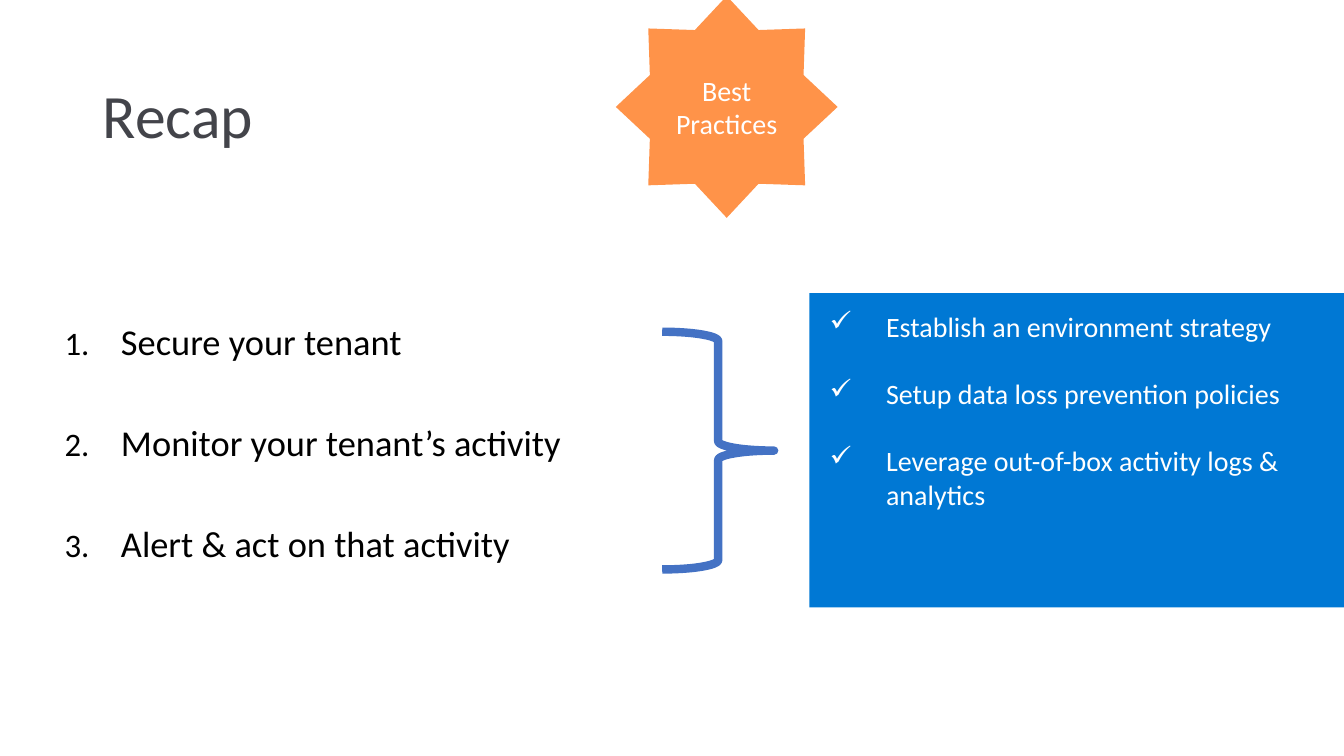
from lxml import etree
from pptx import Presentation
from pptx import util as u
from pptx.dml.color import RGBColor
from pptx.enum import shapes, text
from pptx.oxml.ns import qn

COLORS = {"title": "43444A", "panel": "0078D4", "badge": "FF9349",
          "brace": "4472C4", "light": "FFFFFF", "dark": "000000"}
HANGING = u.Cm(1.42)


def write(shape, lines, size, color, insets, align="LEFT", anchor="TOP", gap=0, bullet=()):
    """Fill a shape with paragraphs; bullet holds (tag, attributes) pairs."""
    frame = shape.text_frame
    side, edge = (u.Cm(inset) for inset in insets)
    frame_format = {"word_wrap": True, "vertical_anchor": getattr(text.MSO_ANCHOR, anchor),
                    "margin_left": side, "margin_right": side,
                    "margin_top": edge, "margin_bottom": edge}
    for key, value in frame_format.items():
        setattr(frame, key, value)
    for index, line in enumerate(lines):
        paragraph = frame.paragraphs[0] if index == 0 else frame.add_paragraph()
        paragraph.alignment = getattr(text.PP_ALIGN, align)
        paragraph.space_before = u.Pt(gap if index else 0)
        run = paragraph.add_run()
        run.text = line
        for key, value in {"name": "Calibri", "size": u.Pt(size)}.items():
            setattr(run.font, key, value)
        run.font.color.rgb = RGBColor.from_string(COLORS[color])
        if bullet:
            properties = paragraph._p.get_or_add_pPr()
            properties.set("marL", str(HANGING))
            properties.set("indent", str(-HANGING))
            for tag, attributes in bullet:
                etree.SubElement(properties, qn(tag), attributes)


def add_block(kind, box, fill):
    """Add a preset shape with a plain fill and no outline."""
    block = slide.shapes.add_shape(kind, *map(u.Cm, box))
    block.shadow.inherit = False
    block.fill.solid()
    block.fill.fore_color.rgb = RGBColor.from_string(COLORS[fill])
    block.line.fill.background()
    return block


deck = Presentation()
deck.slide_width, deck.slide_height = u.Cm(33.87), u.Cm(19.05)
slide = deck.slides.add_slide(deck.slide_layouts[6])

# Title
title = slide.shapes.add_textbox(*map(u.Cm, (2.34, 1.02, 29.21, 3.68)))
write(title, ["Recap"], 44, "title", (0.25, 0.13), anchor="MIDDLE")

# Practices panel
panel = add_block(shapes.MSO_SHAPE.RECTANGLE, (20.4, 7.39, 13.47, 7.92), "panel")
write(panel,
      ["Establish an environment strategy",
       "Setup data loss prevention policies",
       "Leverage out-of-box activity logs & analytics"],
      20, "light", (0.51, 0.41), gap=24, bullet=[("a:buChar", {"char": "✓"})])

# Star badge
badge = add_block(shapes.MSO_SHAPE.STAR_8_POINT, (15.52, -0.1, 5.59, 5.59), "badge")
write(badge, ["Best", "Practices"], 20, "light", (0.51, 0.41),
      align="CENTER", anchor="MIDDLE")

# Numbered steps
steps = slide.shapes.add_textbox(*map(u.Cm, (1.63, 8.05, 16.48, 6.45)))
write(steps,
      ["Secure your tenant", "Monitor your tenant’s activity", "Alert & act on that activity"],
      26, "dark", (0, 0), gap=41,
      bullet=[("a:buSzPct", {"val": "90000"}), ("a:buAutoNum", {"type": "arabicPeriod"})])

# Brace from the steps to the panel
brace = slide.shapes.add_shape(shapes.MSO_SHAPE.RIGHT_BRACE,
                               *map(u.Cm, (16.69, 8.36, 2.82, 5.99)))
brace.shadow.inherit = False
brace.fill.background()
brace.line.color.rgb = RGBColor.from_string(COLORS["brace"])
brace.line.width = u.Pt(6)

deck.save("out.pptx")
